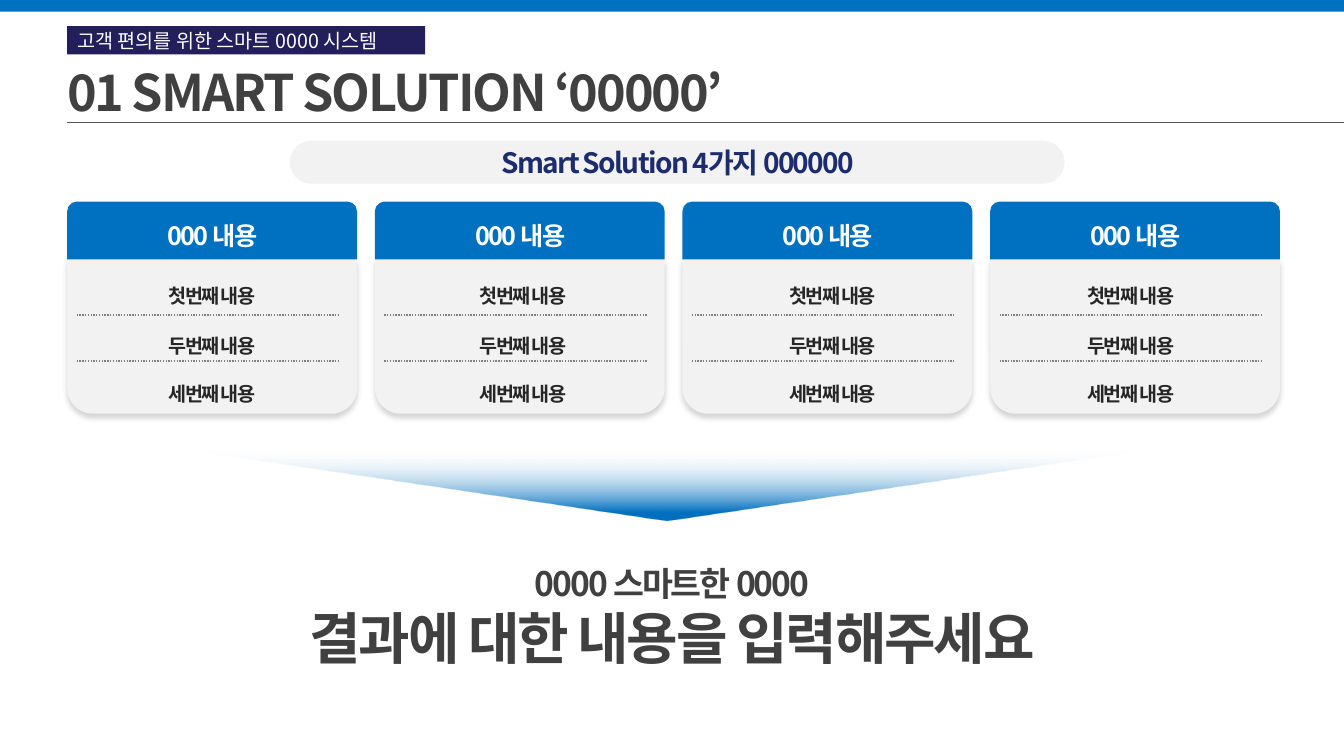
from lxml.etree import SubElement
from pptx import Presentation
from pptx.dml.color import RGBColor
from pptx.enum.dml import MSO_LINE
from pptx.enum.shapes import MSO_CONNECTOR, MSO_SHAPE
from pptx.enum.text import MSO_ANCHOR, MSO_AUTO_SIZE, PP_ALIGN
from pptx.oxml.ns import qn
from pptx.util import Pt

PX = 9525
FONT = "Noto Sans CJK KR"
COLORS = {
    "blue": "0070C0", "navy": "231F5C", "indigo": "1D2C6D", "white": "FFFFFF",
    "panel": "F2F2F2", "mist": "F6F8FC", "title": "404040", "item": "262626",
    "rule": "595959", "dots": "808080", "black": "000000",
}

CARD_LEFT, CARD_PITCH, CARD_WIDTH = 64, 293, 276
HEAD_TOP, HEAD_HEIGHT, BODY_HEIGHT = 192, 55, 147
HEADING = "000 내용"
ITEMS = {"첫번째 내용": 255, "두번째 내용": 302, "세번째 내용": 348}
ITEM_LEFTS = (148, 444, 739, 1023)


def color(name):
    return RGBColor.from_string(COLORS[name])


def emu(*lengths):
    return [length * PX for length in lengths]


def add_block(shapes, kind, area, fill=None, rotation=0):
    block = shapes.add_shape(kind, *emu(*area))
    block.shadow.inherit = False
    block.line.fill.background()
    block.rotation = rotation
    if fill:
        block.fill.solid()
        block.fill.fore_color.rgb = color(fill)
    return block


def add_rule(shapes, left, right, y, ink, width, dash=None):
    rule = shapes.add_connector(MSO_CONNECTOR.STRAIGHT, *emu(left, y, right, y))
    SubElement(rule._element.spPr, qn("a:effectLst"))
    rule.line.color.rgb = color(ink)
    rule.line.width = Pt(width)
    if dash:
        rule.line.dash_style = dash


def write(para, text, size, ink, bold=True, tracking=0, align=PP_ALIGN.CENTER):
    para.alignment = align
    span = para.add_run()
    span.text = text
    span.font.size = Pt(size)
    span.font.bold = bold
    span.font.color.rgb = color(ink)
    span.font.name = FONT
    properties = span._r.get_or_add_rPr()
    SubElement(properties, qn("a:ea")).set("typeface", FONT)
    if tracking:
        properties.set("spc", str(round(tracking * 100)))


def add_label(shapes, area, text, grow=False, **style):
    """Add a text box without insets; a growing box keeps its lines unwrapped."""
    box = shapes.add_textbox(*emu(*area))
    frame = box.text_frame
    frame.margin_left = frame.margin_top = frame.margin_right = frame.margin_bottom = 0
    frame.word_wrap = not grow
    if grow:
        frame.auto_size = MSO_AUTO_SIZE.SHAPE_TO_FIT_TEXT
    else:
        frame.vertical_anchor = MSO_ANCHOR.BOTTOM
    write(frame.paragraphs[0], text, **style)
    return frame


def add_soft_shadow(block):
    effects = block._element.spPr.find(qn("a:effectLst"))
    shadow = SubElement(effects, qn("a:outerShdw"), blurRad=str(Pt(4)),
                        dist=str(Pt(3)), dir="5400000", rotWithShape="0")
    ink = SubElement(shadow, qn("a:srgbClr"), val=COLORS["black"])
    SubElement(ink, qn("a:alpha"), val="17000")


def add_card(shapes, left, item_left):
    body_top = HEAD_TOP + HEAD_HEIGHT
    body = add_block(shapes, MSO_SHAPE.ROUND_2_SAME_RECTANGLE,
                     (left, body_top, CARD_WIDTH, BODY_HEIGHT), "panel", rotation=180)
    add_soft_shadow(body)
    add_block(shapes, MSO_SHAPE.ROUND_2_SAME_RECTANGLE,
              (left, HEAD_TOP, CARD_WIDTH, HEAD_HEIGHT), "blue")
    add_label(shapes, (left + 90, 201, 97, 38), HEADING,
              size=18, ink="white", tracking=-1.2)
    for y in (300, 344):
        add_rule(shapes, left + 9, left + 260, y, "dots", 1, MSO_LINE.ROUND_DOT)
    for text, top in ITEMS.items():
        add_label(shapes, (item_left, top, 108, 38), text,
                  size=14, ink="item", tracking=-1.2)


def add_fading_arrow(shapes, area):
    arrow = add_block(shapes, MSO_SHAPE.ISOSCELES_TRIANGLE, area, rotation=180)
    arrow.fill.gradient()
    arrow.fill.gradient_angle = 270
    tip, tail = arrow.fill.gradient_stops
    tip.position, tail.position = 0.12, 1
    tip.color.rgb, tail.color.rgb = color("blue"), color("mist")
    tail_ink = list(arrow._element.spPr.iter(qn("a:srgbClr")))[-1]
    SubElement(tail_ink, qn("a:alpha"), val="0")


def add_header(shapes):
    add_block(shapes, MSO_SHAPE.RECTANGLE, (0, 0, 1280, 11), "blue")
    add_label(shapes, (64, 58, 644, 59), "01 SMART SOLUTION ‘00000’", grow=True,
              size=36, ink="title", tracking=-1.5, align=PP_ALIGN.LEFT)
    tag = add_block(shapes, MSO_SHAPE.RECTANGLE, (64, 25, 341, 27), "navy")
    tag.text_frame.vertical_anchor = MSO_ANCHOR.MIDDLE
    write(tag.text_frame.paragraphs[0], "고객 편의를 위한 스마트 0000 시스템",
          size=14, ink="white", bold=False, align=PP_ALIGN.LEFT)
    add_rule(shapes, 64, 1280, 117, "rule", 0.5)


def add_banner(shapes):
    banner = shapes.add_group_shape().shapes
    pill = add_block(banner, MSO_SHAPE.ROUNDED_RECTANGLE, (276, 134, 738, 41), "panel")
    pill.adjustments[0] = 0.5
    add_label(banner, (365, 139, 561, 32), "Smart Solution 4가지 000000",
              size=20, ink="indigo", tracking=-1.2)


def main():
    deck = Presentation()
    deck.slide_width, deck.slide_height = emu(1280, 720)
    page = deck.slides.add_slide(deck.slide_layouts[6])
    shapes = page.shapes

    # Title area and banner
    add_header(shapes)
    add_banner(shapes)

    # Four solution cards
    for index, item_left in enumerate(ITEM_LEFTS):
        add_card(shapes, CARD_LEFT + index * CARD_PITCH, item_left)

    # Arrow down to the result
    add_fading_arrow(shapes, (181, 429, 909, 67))
    result = add_label(shapes, (272, 536, 736, 104), "0000 스마트한 0000", grow=True,
                       size=24, ink="title", tracking=-1.5)
    write(result.add_paragraph(), "결과에 대한 내용을 입력해주세요",
          size=40, ink="title", tracking=-1.5)

    deck.save("out.pptx")


if __name__ == "__main__":
    main()
